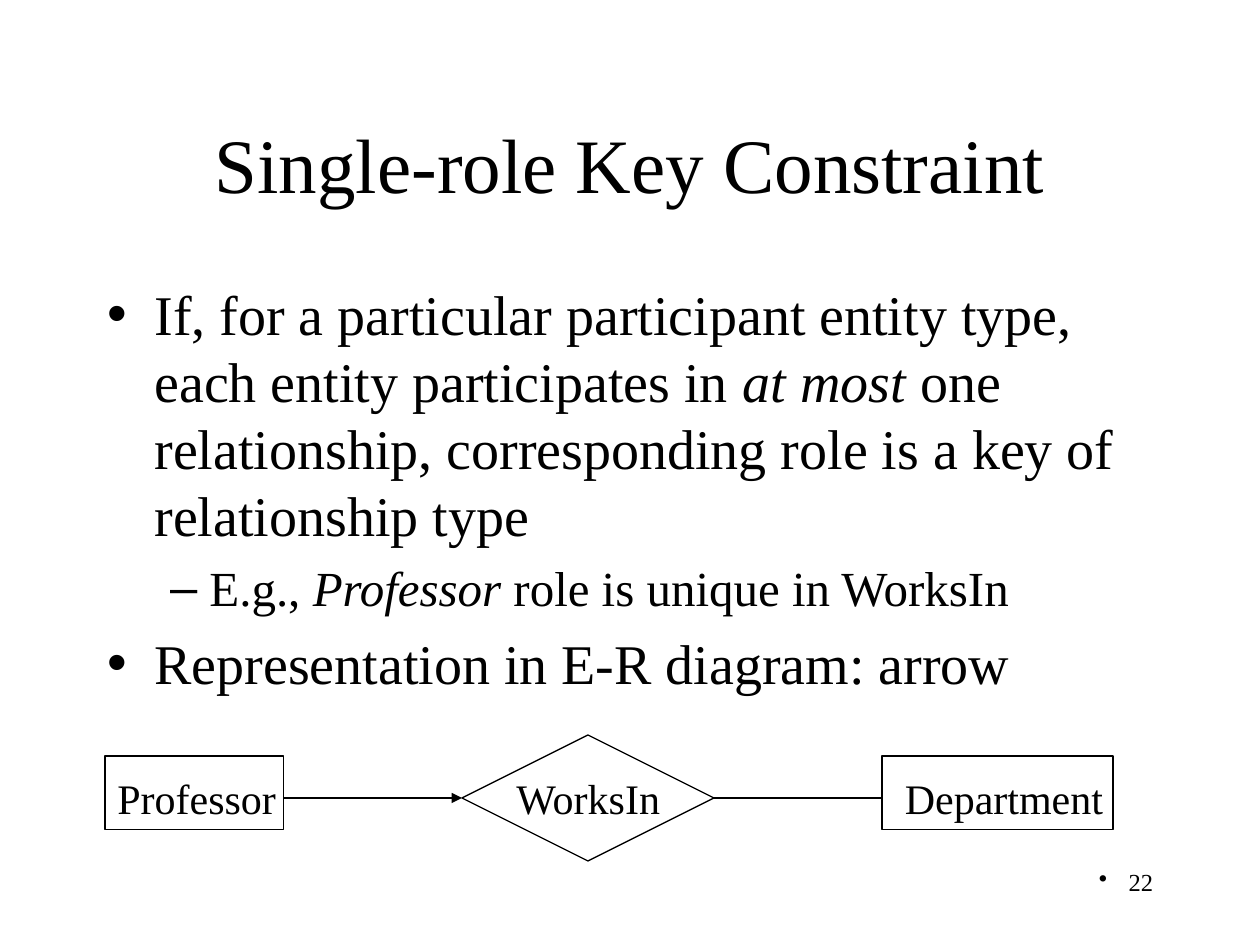
from collections import namedtuple
from dataclasses import dataclass

from lxml import etree
from pptx import Presentation
from pptx.dml.color import RGBColor
from pptx.enum import shapes, text
from pptx.oxml import ns
from pptx.util import Pt

Box = namedtuple("Box", "left top width height")


@dataclass(frozen=True)
class Theme:
    font: str = "Times New Roman"
    ink: RGBColor = RGBColor(0, 0, 0)
    background: RGBColor = RGBColor(255, 255, 255)
    title: int = 44
    bullets: tuple = (32, 28)
    label: int = 24
    number: int = 14
    line: float = 0.75


THEME = Theme()


def points(*lengths):
    return [Pt(length) for length in lengths]


def place(shape, box):
    shape.left, shape.top, shape.width, shape.height = points(*box)


def format_runs(paragraph, size):
    for run in paragraph.runs:
        run.font.name = THEME.font
        run.font.size = Pt(size)
        run.font.color.rgb = THEME.ink


def add_title(slide, box, title):
    shape = slide.shapes.title
    place(shape, box)
    frame = shape.text_frame
    frame.text = title
    frame.vertical_anchor = text.MSO_ANCHOR.MIDDLE
    frame.auto_size = text.MSO_AUTO_SIZE.NONE
    format_runs(frame.paragraphs[0], THEME.title)


def add_bullets(slide, box, items):
    """Fill the body with (level, text) items; asterisks enclose italics."""
    body = slide.placeholders[1]
    place(body, box)
    frame = body.text_frame
    frame.auto_size = text.MSO_AUTO_SIZE.NONE
    for index, (level, wording) in enumerate(items):
        paragraph = frame.add_paragraph() if index else frame.paragraphs[0]
        paragraph.level = level
        for part, piece in enumerate(wording.split("*")):
            if piece:
                run = paragraph.add_run()
                run.text = piece
                run.font.italic = part % 2 == 1
        format_runs(paragraph, THEME.bullets[level])


def add_label(slide, box, wording, size, wrap=False):
    label = slide.shapes.add_textbox(*points(*box))
    frame = label.text_frame
    frame.word_wrap = wrap
    frame.text = wording
    format_runs(frame.paragraphs[0], size)
    return frame.paragraphs[0]


def add_outline(slide, preset, box):
    shape = slide.shapes.add_shape(preset, *points(*box))
    shape.shadow.inherit = False
    shape.fill.background()
    shape.line.color.rgb = THEME.ink
    shape.line.width = Pt(THEME.line)


def add_link(slide, start, end, y, arrow=False):
    link = slide.shapes.add_connector(
        shapes.MSO_CONNECTOR.STRAIGHT, *points(start, y, end, y))
    link.line.color.rgb = THEME.ink
    link.line.width = Pt(THEME.line)
    properties = link._element.spPr
    if arrow:
        etree.SubElement(link.line._get_or_add_ln(), ns.qn("a:tailEnd"), type="triangle")
    etree.SubElement(properties, ns.qn("a:effectLst"))


def add_diagram(slide, box):
    """Draw two entities joined through the relationship diamond."""
    entity_top, entity_height = box.top + 12, 42
    professor = Box(box.left, entity_top, 102, entity_height)
    relationship = Box(box.left + 204, box.top, 144, box.height)
    department = Box(box.left + box.width - 132, entity_top, 132, entity_height)

    add_outline(slide, shapes.MSO_SHAPE.DIAMOND, relationship)
    for entity in (professor, department):
        add_outline(slide, shapes.MSO_SHAPE.RECTANGLE, entity)

    for left, width, wording, wrap in (
        (relationship.left + 24, 98.5, "WorksIn", False),
        (professor.left, 105, "Professor", False),
        (department.left + 6, 144, "Department", True),
    ):
        add_label(slide, Box(left, box.top + 18, width, 36), wording, THEME.label, wrap)

    middle = box.top + box.height / 2
    add_link(slide, professor.left + professor.width, relationship.left, middle, arrow=True)
    add_link(slide, relationship.left + relationship.width, department.left, middle)


def add_page_number(slide, box, number):
    paragraph = add_label(slide, box, number, THEME.number, wrap=True)
    paragraph.alignment = text.PP_ALIGN.RIGHT
    properties = paragraph._p.get_or_add_pPr()
    properties.set("marL", str(Pt(17)))
    properties.set("indent", str(-Pt(17)))
    etree.SubElement(properties, ns.qn("a:buChar"), char="•")


def main():
    presentation = Presentation()
    presentation.slide_width, presentation.slide_height = points(720, 540)
    slide = presentation.slides.add_slide(presentation.slide_layouts[1])
    slide.background.fill.solid()
    slide.background.fill.fore_color.rgb = THEME.background

    add_page_number(slide, Box(516, 492, 150, 36), "22")
    add_title(slide, Box(54, 48, 612, 90), "Single-role Key Constraint")
    add_bullets(slide, Box(54, 156, 612, 324), (
        (0, "If, for a particular participant entity type, each entity participates in "
            "*at most* one relationship, corresponding role is a key of relationship type"),
        (1, "E.g., *Professor* role is unique in WorksIn"),
        (0, "Representation in E-R diagram: arrow"),
    ))
    add_diagram(slide, Box(60, 420, 576, 72))
    presentation.save("out.pptx")


if __name__ == "__main__":
    main()
